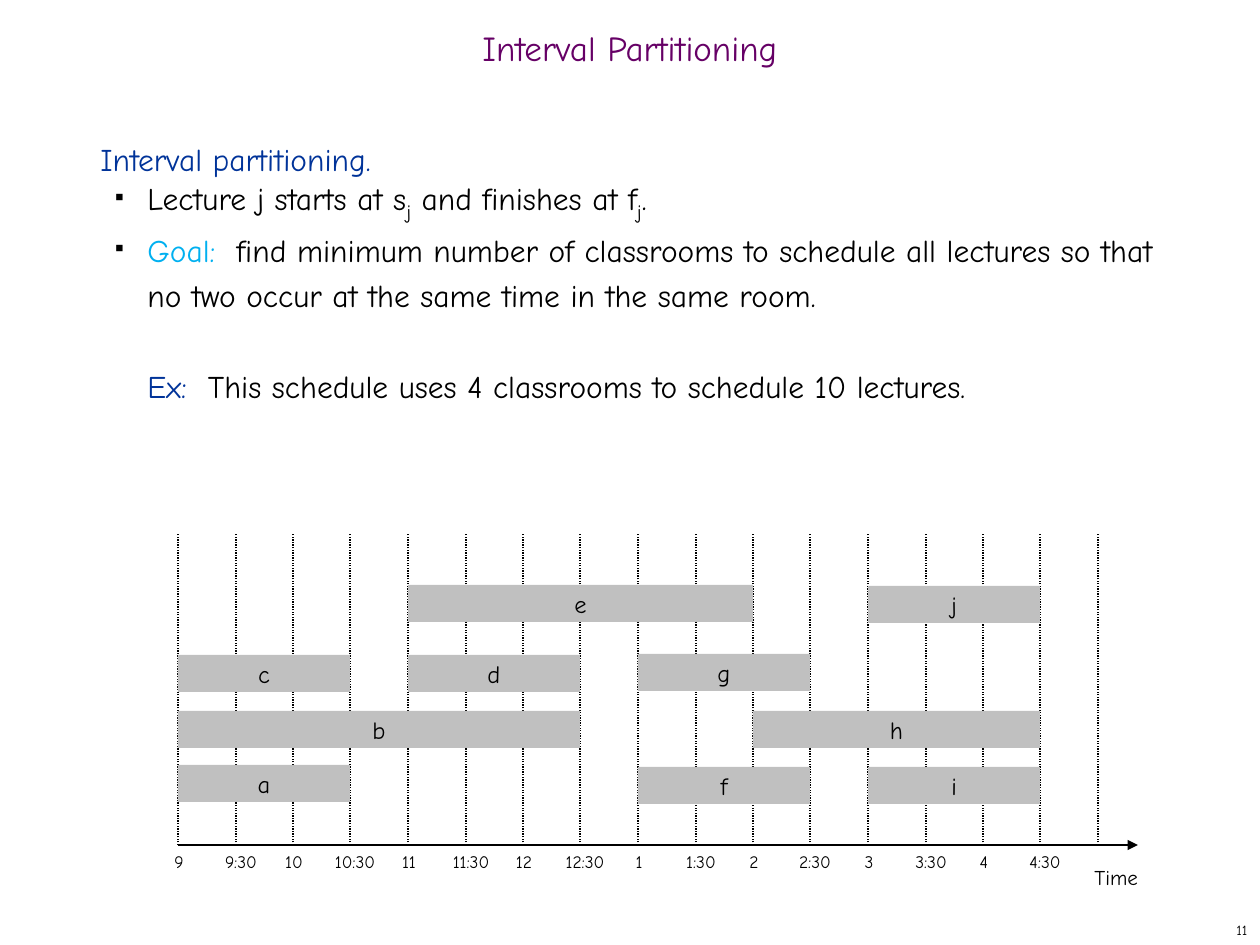
from lxml.etree import SubElement
from pptx import Presentation
from pptx.dml.color import RGBColor
from pptx.enum.dml import MSO_LINE
from pptx.enum.shapes import MSO_CONNECTOR, MSO_SHAPE
from pptx.enum.text import MSO_ANCHOR, PP_ALIGN
from pptx.oxml.ns import qn
from pptx.util import Emu, Pt

EMU_PER_PX = 914400 / 126
FONT = "Comic Neue"
BLACK, BLUE, CYAN, PURPLE, GRAY = "000000", "003399", "00B0F0", "660066", "C0C0C0"

AXIS_LEFT, AXIS_RIGHT, AXIS_Y = 178, 1138, 845
GRID_TOP, GRID_RIGHT, SLOTS = 534, 1098, 16
TIMES = ["9", "9:30", "10", "10:30", "11", "11:30", "12", "12:30",
         "1", "1:30", "2", "2:30", "3", "3:30", "4", "4:30"]
LABEL_WIDTH = 66
BAR_HEIGHT = 37
# letter, first slot, last slot, top
LECTURES = [
    ("e", 4, 10, 585), ("j", 12, 15, 586),
    ("c", 0, 3, 655), ("d", 4, 7, 655), ("g", 8, 11, 654),
    ("b", 0, 7, 711), ("h", 10, 15, 711),
    ("a", 0, 3, 765), ("f", 8, 11, 767), ("i", 12, 15, 767),
]
# runs (text, colour, is subscript), left margin, first indent, space before in points
BODY = [
    ([("Interval partitioning.", BLUE, False)], 0, 0, 0),
    ([("Lecture j starts at s", BLACK, False), ("j", BLACK, True),
      (" and finishes at f", BLACK, False), ("j", BLACK, True),
      (".", BLACK, False)], 47, -32, 0),
    ([("Goal:", CYAN, False),
      ("  find minimum number of classrooms to schedule all lectures so that "
       "no two occur at the same time in the same room.", BLACK, False)], 47, -32, 0),
    ([("Ex:  ", BLUE, False),
      ("This schedule uses 4 classrooms to schedule 10 lectures.", BLACK, False)], 47, 0, 26),
]


def px(value):
    return Emu(round(value * EMU_PER_PX))


def color(hex_string):
    return RGBColor.from_string(hex_string)


def slot_x(slot):
    """Return the x of a half-hour mark on the time axis."""
    return round(AXIS_LEFT + (GRID_RIGHT - AXIS_LEFT) * slot / SLOTS)


def style_font(font, size, hex_string):
    font.name = FONT
    font.size = Pt(size)
    font.color.rgb = color(hex_string)


def add_text_box(slide, left, top, width, height):
    text_frame = slide.shapes.add_textbox(px(left), px(top), px(width), px(height)).text_frame
    text_frame.word_wrap = True
    return text_frame


def add_label(slide, text, box, size, hex_string=BLACK,
              align=PP_ALIGN.LEFT, anchor=MSO_ANCHOR.TOP):
    text_frame = add_text_box(slide, *box)
    text_frame.text = text
    text_frame.vertical_anchor = anchor
    paragraph = text_frame.paragraphs[0]
    paragraph.alignment = align
    style_font(paragraph.runs[0].font, size, hex_string)
    return paragraph


def add_bullet(paragraph):
    properties = paragraph._p.get_or_add_pPr()
    bullet_color = SubElement(properties, qn("a:buClr"))
    SubElement(bullet_color, qn("a:srgbClr"), val=BLACK)
    SubElement(properties, qn("a:buSzPct"), val="35000")
    SubElement(properties, qn("a:buChar"), char="■")


def add_body(slide):
    text_frame = add_text_box(slide, 88, 126, 1081, 746)
    for index, (runs, margin, indent, space_before) in enumerate(BODY):
        paragraph = text_frame.add_paragraph() if index else text_frame.paragraphs[0]
        properties = paragraph._p.get_or_add_pPr()
        properties.set("marL", str(px(margin)))
        properties.set("indent", str(px(indent)))
        if indent:
            add_bullet(paragraph)
        paragraph.line_spacing = Pt(26)
        if space_before:
            paragraph.space_before = Pt(space_before)
        for text, hex_string, is_subscript in runs:
            run = paragraph.add_run()
            run.text = text
            style_font(run.font, 20 if is_subscript else 18, hex_string)
            if is_subscript:
                run._r.get_or_add_rPr().set("baseline", "-25000")


def add_line(slide, start, end, width):
    line = slide.shapes.add_connector(
        MSO_CONNECTOR.STRAIGHT, px(start[0]), px(start[1]), px(end[0]), px(end[1]))
    line.line.color.rgb = color(BLACK)
    line.line.width = Pt(width)
    SubElement(line._element.spPr, qn("a:effectLst"))
    return line


def add_grid(slide):
    for slot in range(SLOTS + 1):
        x = slot_x(slot)
        line = add_line(slide, (x, AXIS_Y), (x, GRID_TOP), 0.75)
        line.line.dash_style = MSO_LINE.ROUND_DOT


def add_time_axis(slide):
    axis = add_line(slide, (AXIS_LEFT, AXIS_Y), (AXIS_RIGHT, AXIS_Y), 1.25)
    SubElement(axis.line._get_or_add_ln(), qn("a:tailEnd"), type="triangle")
    for slot, time in enumerate(TIMES):
        center = slot_x(slot) + (5 if ":" in time else 1)
        box = (center - LABEL_WIDTH // 2, AXIS_Y, LABEL_WIDTH, 34)
        add_label(slide, time, box, 10, align=PP_ALIGN.CENTER)
    add_label(slide, "Time", (1082, 858, 91, 38), 12)


def add_lecture(slide, letter, first, last, top):
    left = slot_x(first)
    bar = slide.shapes.add_shape(
        MSO_SHAPE.RECTANGLE, px(left), px(top), px(slot_x(last) - left), px(BAR_HEIGHT))
    bar.shadow.inherit = False
    bar.fill.solid()
    bar.fill.fore_color.rgb = color(GRAY)
    bar.line.fill.background()
    text_frame = bar.text_frame
    text_frame.text = letter
    text_frame.vertical_anchor = MSO_ANCHOR.MIDDLE
    paragraph = text_frame.paragraphs[0]
    paragraph.alignment = PP_ALIGN.CENTER
    style_font(paragraph.runs[0].font, 14, BLACK)


def main():
    presentation = Presentation()
    presentation.slide_width, presentation.slide_height = px(1260), px(945)
    slide = presentation.slides.add_slide(presentation.slide_layouts[6])

    add_label(slide, "11", (998, 914, 262, 31), 8,
              align=PP_ALIGN.RIGHT, anchor=MSO_ANCHOR.MIDDLE)
    add_grid(slide)
    title = add_label(slide, "Interval Partitioning", (0, 21, 1260, 63), 20, PURPLE,
                      PP_ALIGN.CENTER, MSO_ANCHOR.MIDDLE)
    title.line_spacing = 0.7
    add_body(slide)
    add_time_axis(slide)
    for lecture in LECTURES:
        add_lecture(slide, *lecture)

    presentation.save("out.pptx")


if __name__ == "__main__":
    main()
